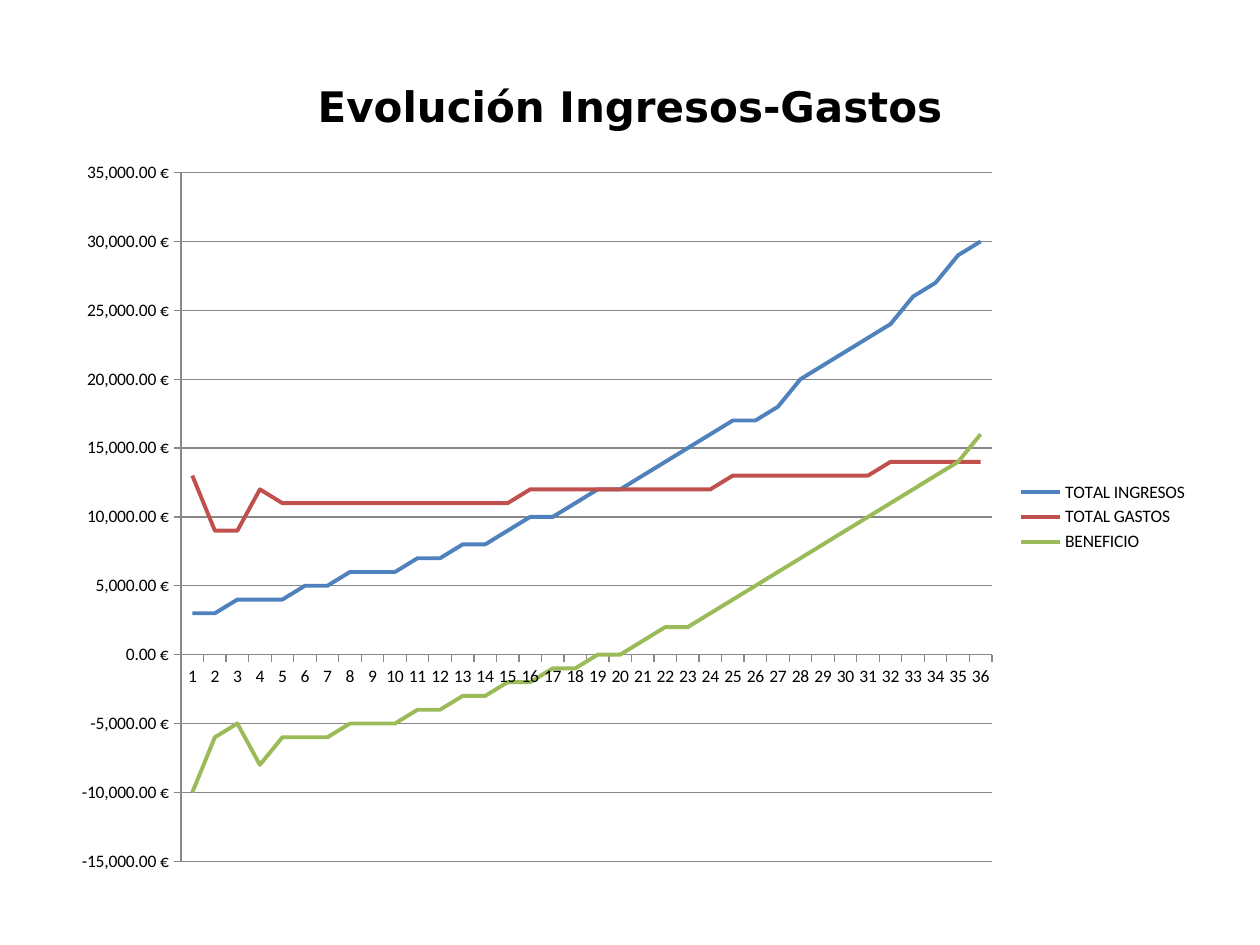
import pptx
import pptx.chart.data
import pptx.dml.color
import pptx.enum.chart
import pptx.enum.text
import pptx.util

# Content, in thousands of euros per month
TITLE = "Evolución Ingresos-Gastos"
THOUSAND = 1000
INCOME = [
    3, 3, 4, 4, 4, 5, 5, 6, 6, 6, 7, 7,
    8, 8, 9, 10, 10, 11, 12, 12, 13, 14, 15, 16,
    17, 17, 18, 20, 21, 22, 23, 24, 26, 27, 29, 30,
]
EXPENSES = [
    13, 9, 9, 12, 11, 11, 11, 11, 11, 11, 11, 11,
    11, 11, 11, 12, 12, 12, 12, 12, 12, 12, 12, 12,
    13, 13, 13, 13, 13, 13, 13, 14, 14, 14, 14, 14,
]
PROFIT = [
    -10, -6, -5, -8, -6, -6, -6, -5, -5, -5, -4, -4,
    -3, -3, -2, -2, -1, -1, 0, 0, 1, 2, 2, 3,
    4, 5, 6, 7, 8, 9, 10, 11, 12, 13, 14, 16,
]

# Colours
BLACK = pptx.dml.color.RGBColor(0x00, 0x00, 0x00)
GRAY = pptx.dml.color.RGBColor(0x87, 0x87, 0x87)
BLUE = pptx.dml.color.RGBColor(0x4F, 0x81, 0xBD)
RED = pptx.dml.color.RGBColor(0xC0, 0x50, 0x4D)
GREEN = pptx.dml.color.RGBColor(0x9B, 0xBB, 0x59)

SERIES = [
    ("TOTAL INGRESOS", INCOME, BLUE),
    ("TOTAL GASTOS", EXPENSES, RED),
    ("BENEFICIO", PROFIT, GREEN),
]

# Places in px: left, top, width, height
SLIDE_SIZE = (1260, 945)
TITLE_BOX = (0, 74, 1260, 63)
CHART_BOX = (59, 148, 1142, 738)

# Formats
TITLE_FONT = {"name": "DejaVu Sans", "size": pptx.util.Pt(24), "bold": True}
CHART_FONT = {"name": "Calibri", "size": pptx.util.Pt(10), "bold": False}
TITLE_FRAME = {
    "word_wrap": True,
    "vertical_anchor": pptx.enum.text.MSO_ANCHOR.MIDDLE,
}
VALUE_AXIS = {
    "minimum_scale": -15000,
    "maximum_scale": 35000,
    "major_unit": 5000,
    "has_major_gridlines": True,
}
LEGEND = {
    "position": pptx.enum.chart.XL_LEGEND_POSITION.RIGHT,
    "include_in_layout": False,
}


def px(length):
    return pptx.util.Emu(length * 914400 // 126)


def set_format(target, values):
    for name, value in values.items():
        setattr(target, name, value)


def set_font(font, values):
    set_format(font, values)
    font.color.rgb = BLACK


def set_line(line, color, points):
    line.color.rgb = color
    line.width = pptx.util.Pt(points)


def add_title(slide):
    title = slide.shapes.title
    title.left, title.top, title.width, title.height = map(px, TITLE_BOX)
    set_format(title.text_frame, TITLE_FRAME)
    title.text_frame.text = TITLE
    paragraph = title.text_frame.paragraphs[0]
    paragraph.alignment = pptx.enum.text.PP_ALIGN.CENTER
    set_font(paragraph.runs[0].font, TITLE_FONT)


def add_line_chart(slide):
    data = pptx.chart.data.CategoryChartData()
    data.categories = [str(month) for month in range(1, len(INCOME) + 1)]
    for name, values, _ in SERIES:
        data.add_series(name, [value * THOUSAND for value in values])
    chart = slide.shapes.add_chart(
        pptx.enum.chart.XL_CHART_TYPE.LINE, *map(px, CHART_BOX), data
    ).chart
    chart.has_title = False
    set_font(chart.font, CHART_FONT)

    # Axes and gridlines
    for axis in (chart.category_axis, chart.value_axis):
        axis.major_tick_mark = pptx.enum.chart.XL_TICK_MARK.OUTSIDE
        set_line(axis.format.line, GRAY, 0.75)
    set_format(chart.value_axis, VALUE_AXIS)
    set_line(chart.value_axis.major_gridlines.format.line, GRAY, 0.75)
    labels = chart.value_axis.tick_labels
    labels.number_format = '#,##0.00\\ "€"'
    labels.number_format_is_linked = False

    # Series and legend
    chart.plots[0].vary_by_categories = False
    for series, (_, _, color) in zip(chart.plots[0].series, SERIES):
        series.smooth = False
        series.marker.style = pptx.enum.chart.XL_MARKER_STYLE.NONE
        set_line(series.format.line, color, 2.25)
    chart.has_legend = True
    set_format(chart.legend, LEGEND)


def main():
    presentation = pptx.Presentation()
    presentation.slide_width, presentation.slide_height = map(px, SLIDE_SIZE)
    title_only = presentation.slide_layouts[5]
    slide = presentation.slides.add_slide(title_only)
    add_title(slide)
    add_line_chart(slide)
    presentation.save("out.pptx")


if __name__ == "__main__":
    main()
